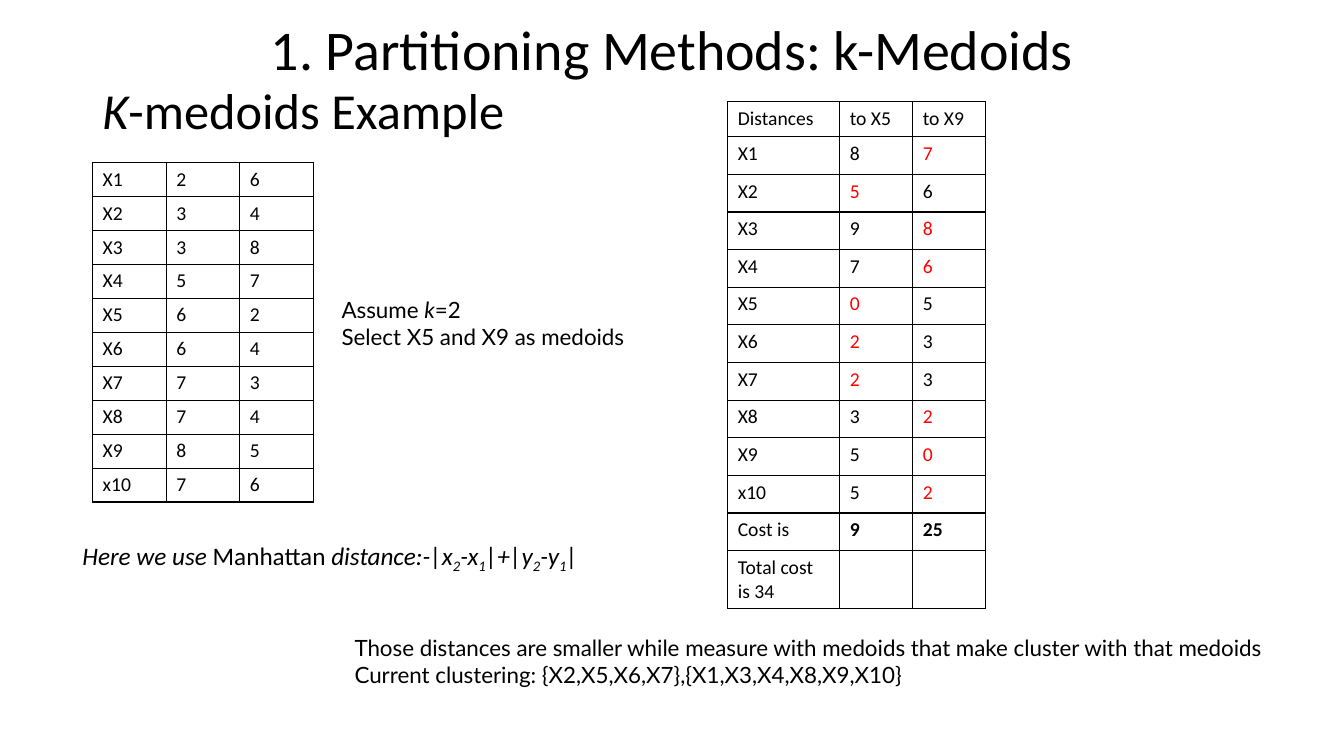
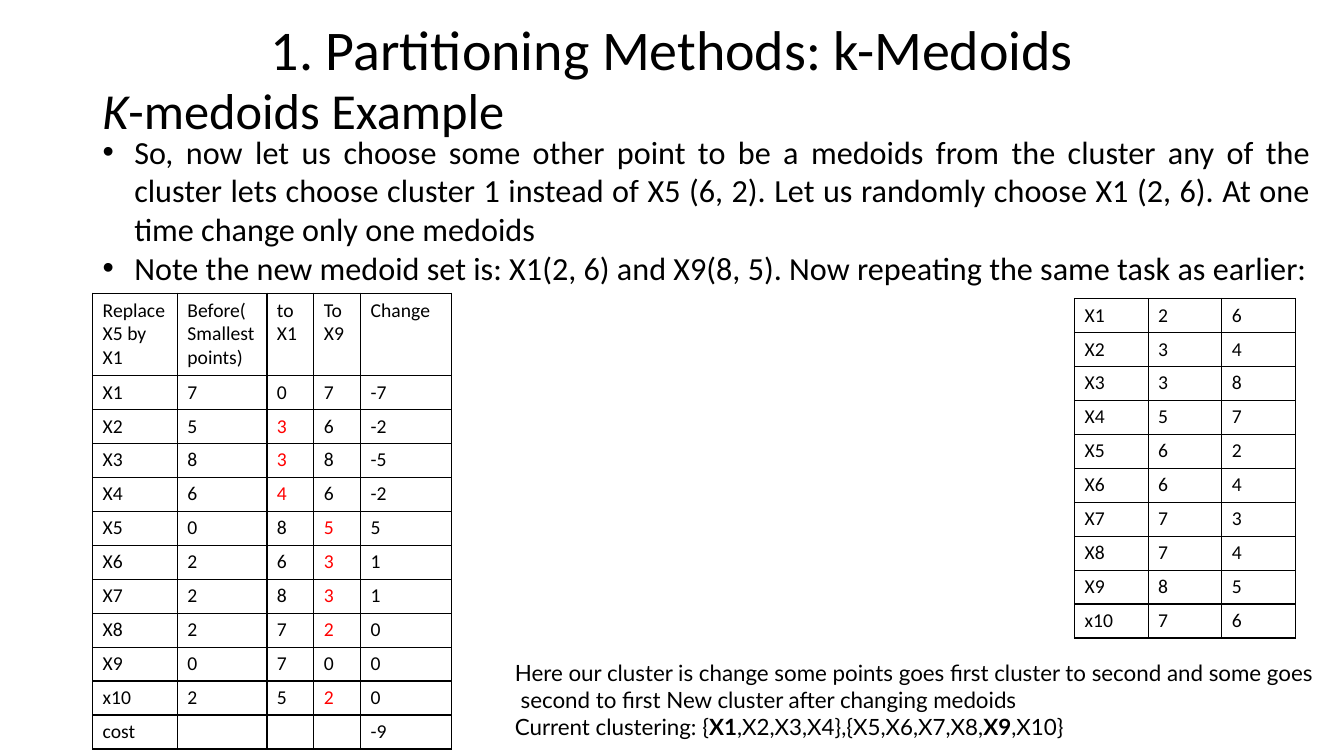
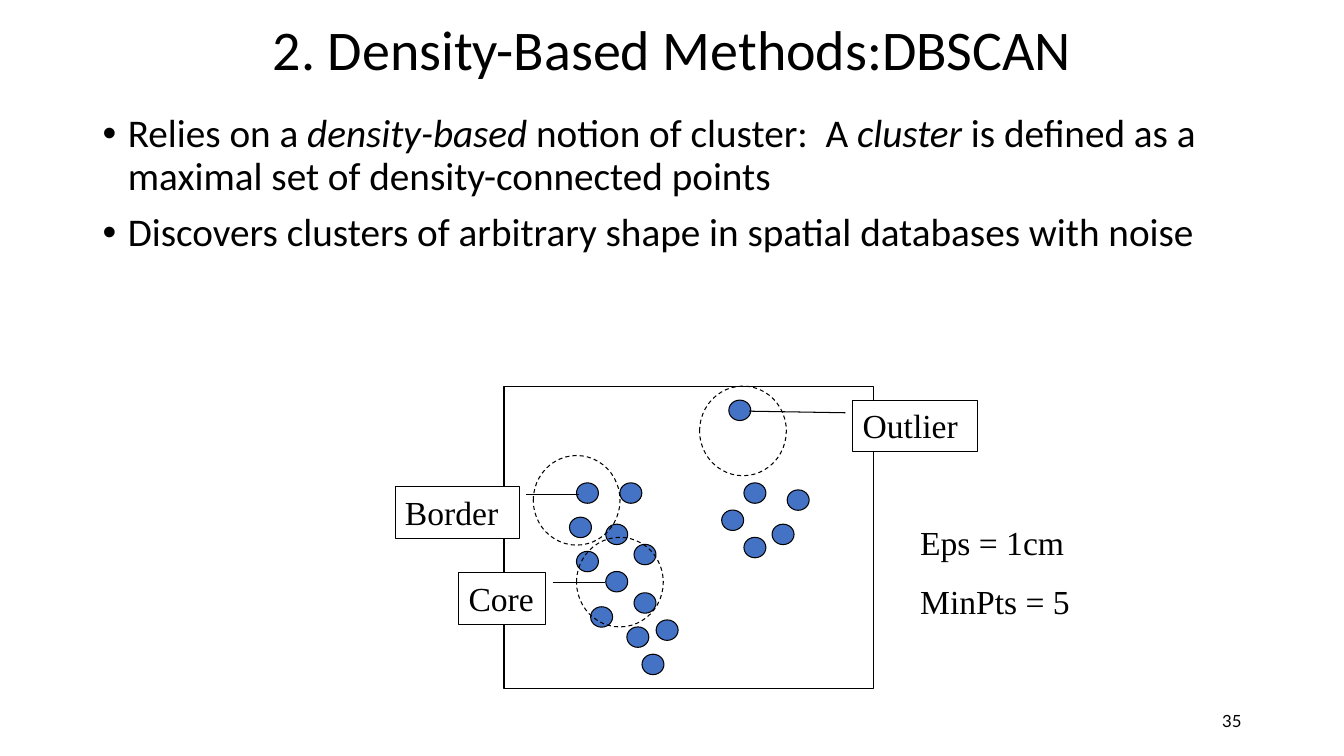
from pptx import Presentation
from pptx.dml.color import RGBColor
from pptx.enum import dml, shapes, text
from pptx.oxml.ns import qn
from pptx.util import Pt
from lxml import etree

# Shared look
HUES = {"ink": "000000", "red": "FF0000", "dot": "4472C4", "paper": "FFFFFF"}
MAIN, SANS, SERIF = "Calibri", "Lato", "Times New Roman"
MID, TOP = text.MSO_ANCHOR.MIDDLE, text.MSO_ANCHOR.TOP
LEFT, MIDDLE = text.PP_ALIGN.LEFT, text.PP_ALIGN.CENTER
RIGHT, FULL = text.PP_ALIGN.RIGHT, text.PP_ALIGN.JUSTIFY
MARKS = {"i": {"italic": True}, "b": {"bold": True}}
HEAD = (66, 9.4, 828, 56)
SUB = (66, 28.8, 828, 104.4)

# Content: a paragraph is a string or a list of (text, marks);
# marks are i = italic, b = bold, s = subscript; "!" makes a cell red
MEDOIDS = "1. Partitioning Methods: k-Medoids"
DENSITY = "2. Density-Based Methods:DBSCAN"
EXAMPLE = [[("K", "i"), ("-medoids Example", "")]]

POINTS = ["X1|2|6", "X2|3|4", "X3|3|8", "X4|5|7", "X5|6|2",
          "X6|6|4", "X7|7|3", "X8|7|4", "X9|8|5", "x10|7|6"]
COSTS = ["Distances|to X5|to X9", "X1|8|!7", "X2|!5|6", "X3|9|!8",
         "X4|7|!6", "X5|!0|5", "X6|!2|3", "X7|!2|3", "X8|3|!2",
         "X9|5|!0", "x10|5|!2", "Cost is|*9|*25", "Total cost is 34||"]
SWAPS = ["Replace X5 by X1|Before( Smallest points)|to X1|To X9|Change",
         "X1|7|0|7|-7", "X2|5|!3|6|-2", "X3|8|!3|8|-5", "X4|6|!4|6|-2",
         "X5|0|8|!5|5", "X6|2|6|!3|1", "X7|2|8|!3|1", "X8|2|7|!2|0",
         "X9|0|7|0|0", "x10|2|5|!2|0", "cost||||-9"]

ASSUME = [[("Assume ", ""), ("k", "i"), ("=2", "")],
          "Select X5 and X9 as medoids"]
FIRST = ["Those distances are smaller while measure with medoids "
         "that make cluster with that medoids",
         "Current clustering: {X2,X5,X6,X7},{X1,X3,X4,X8,X9,X10}"]
METRIC = [[("Here we use ", "i"), ("Manhattan", ""), (" distance:-|x", "i"),
           ("2", "is"), ("-x", "i"), ("1", "is"), ("|+|y", "i"),
           ("2", "is"), ("-y", "i"), ("1", "is"), ("|", "i")]]
CHOICE = ["So, now let us choose some other point to be a medoids from the "
          "cluster any of the cluster lets choose cluster 1 instead of "
          "X5 (6, 2). Let us randomly choose X1 (2, 6). At one time change "
          "only one medoids",
          "Note the new medoid set is: X1(2, 6) and X9(8, 5). "
          "Now repeating the same task as earlier:"]
SECOND = ["Here our cluster is change some points goes first cluster to "
          "second and some goes",
          " second to first New cluster after changing medoids",
          [("Current clustering: {", ""), ("X1", "b"),
           (",X2,X3,X4},{X5,X6,X7,X8,", ""), ("X9", "b"), (",X10}", "")]]
NOTION = [[("Relies on a ", ""), ("density-based", "i"),
           (" notion of cluster:  A ", ""), ("cluster", "i"),
           (" is defined as a maximal set of density-connected points", "")],
          "Discovers clusters of arbitrary shape in spatial databases "
          "with noise"]

# Scatter diagram
DOT, RING = (15.7, 14.6), (62, 64)
FRAME = (360, 275.8, 264, 216)
DOTS = [(411.8, 344.9), (406.8, 369.4), (432.7, 374.4), (442.8, 344.9),
        (452.9, 388.8), (411.8, 393.8), (432.7, 408.2), (421.9, 433.4),
        (447.8, 447.8), (458.6, 467.3), (452.9, 423.4), (468.7, 442.8),
        (520.6, 285.8), (531.4, 344.9), (515.5, 364.3), (551.5, 374.4),
        (562.3, 349.9), (531.4, 383.8)]
RINGS = [(380.9, 325.4), (411.8, 383.8), (499.7, 275.8)]
CALLS = [("Core", (327.6, 409, 62, 37), (0.188, 1.083, 0.188, 1.688)),
         ("Border", (282.2, 347.8, 88.6, 37), (0.145, 1.059, 0.145, 1.485)),
         ("Outlier", (609.1, 285.8, 89.3, 37),
          (0.245, -0.058, 0.214, -0.828))]


def hue(name):
    return RGBColor.from_string(HUES[name])


def apply(obj, vals):
    for key, val in vals.items():
        setattr(obj, key, val)


def place(shape, box):
    sides = ("left", "top", "width", "height")
    apply(shape, dict(zip(sides, map(Pt, box))))


def write(frame, paras, size, face=MAIN, align=LEFT, line=1.0, gap=0,
          anchor=TOP, wrap=True, hang=0):
    """Fill a text frame with formatted paragraphs."""
    apply(frame, {"auto_size": text.MSO_AUTO_SIZE.NONE,
                  "word_wrap": wrap, "vertical_anchor": anchor})
    for n, parts in enumerate(paras):
        para = frame.add_paragraph() if n else frame.paragraphs[0]
        if hang:
            apply_hang(para, hang)
        apply(para, {"alignment": align, "line_spacing": line,
                     "space_before": Pt(gap if n else 0)})
        for words, marks in [(parts, "")] if isinstance(parts, str) else parts:
            run = para.add_run()
            run.text = words
            apply(run.font, {"name": face, "size": Pt(size)})
            run.font.color.rgb = hue("ink")
            for mark in marks:
                apply(run.font, MARKS.get(mark, {}))
            if "s" in marks:
                run.font._element.set("baseline", "-25000")


def apply_hang(para, hang):
    props = para._p.get_or_add_pPr()
    props.set("marL", str(Pt(hang)))
    props.set("indent", str(-Pt(hang)))
    etree.SubElement(props, qn("a:buChar")).set("char", "•")


def label(slide, box, paras, size, **look):
    shape = slide.shapes.add_textbox(*map(Pt, box))
    write(shape.text_frame, paras, size, **look)


def start(deck, layout, title):
    """Add a slide with the shared heading."""
    slide = deck.slides.add_slide(deck.slide_layouts[layout])
    place(slide.shapes.title, HEAD)
    write(slide.shapes.title.text_frame, [title], 40,
          align=MIDDLE, line=0.9, anchor=MID)
    return slide


def bullets(slide, box, paras, size, **look):
    body = slide.placeholders[1]
    place(body, box)
    write(body.text_frame, paras, size, **look)


def edge(cell):
    props = cell._tc.get_or_add_tcPr()
    for side in "LRTB":
        line = etree.SubElement(props, qn("a:ln" + side), w=str(Pt(1)))
        fill = etree.SubElement(line, qn("a:solidFill"))
        etree.SubElement(fill, qn("a:srgbClr"), val=HUES["ink"])


def grid(slide, spot, cols, rows, tall, head=None):
    """Add a ruled table; head is the height of the first row."""
    highs = [head or tall] + [tall] * (len(rows) - 1)
    box = (*spot, sum(cols), sum(highs))
    table = slide.shapes.add_table(len(rows), len(cols), *map(Pt, box)).table
    apply(table, {"first_row": False, "horz_banding": False})
    for col, wide in zip(table.columns, cols):
        col.width = Pt(wide)
    for row, high, line in zip(table.rows, highs, rows):
        row.height = Pt(high)
        for cell, word in zip(row.cells, line.split("|")):
            edge(cell)
            cell.fill.background()
            para = cell.text_frame.paragraphs[0]
            para.font.size = Pt(14)
            if not word:
                continue
            run = para.add_run()
            run.text = word.lstrip("!*")
            apply(run.font, {"name": MAIN, "size": Pt(14),
                             "bold": word[0] == "*"})
            run.font.color.rgb = hue("red" if word[0] == "!" else "ink")


def draw(slide, kind, box, fill=None, dash=None):
    shape = slide.shapes.add_shape(kind, *map(Pt, box))
    shape.shadow.inherit = False
    if fill:
        shape.fill.solid()
        shape.fill.fore_color.rgb = hue(fill)
    else:
        shape.fill.background()
    shape.line.color.rgb = hue("ink")
    apply(shape.line, {"width": Pt(0.75), "dash_style": dash})
    return shape


def main():
    deck = Presentation()
    apply(deck, {"slide_width": Pt(960), "slide_height": Pt(540)})
    forms = shapes.MSO_SHAPE
    sub = {"line": 0.9, "anchor": MID}
    note = {"face": SANS, "wrap": False}

    # First choice of medoids
    slide = start(deck, 5, MEDOIDS)
    label(slide, SUB, EXAMPLE, 36, **sub)
    grid(slide, (66.2, 116), [52.6] * 3, POINTS, 24)
    grid(slide, (519.8, 72.7), [80, 52.2, 52.2], COSTS, 26.9, 25)
    label(slide, (236.9, 208, 218, 46), ASSUME, 16, **note)
    label(slide, (246.2, 449.3, 682, 46), FIRST, 16, **note)
    label(slide, (51.8, 382.3, 437, 29), METRIC, 18)

    # Swap of one medoid
    slide = start(deck, 1, MEDOIDS)
    label(slide, SUB, EXAMPLE, 36, **sub)
    bullets(slide, (66.2, 90.7, 878.4, 118.8), CHOICE, 23,
            align=FULL, hang=22.5)
    grid(slide, (66.2, 209.5), [60.5, 64, 33.5, 33.5, 65], SWAPS, 24.2, 58.6)
    grid(slide, (767.5, 213.1), [52.6] * 3, POINTS, 24)
    label(slide, (360.7, 467.3, 602, 65.5), SECOND, 16, **note)

    # Density-based clusters
    slide = start(deck, 1, DENSITY)
    bullets(slide, (66.2, 77.8, 812, 438), NOTION, 28,
            line=0.9, gap=10, hang=18)
    for spot in DOTS:
        draw(slide, forms.OVAL, spot + DOT, "dot")
    draw(slide, forms.RECTANGLE, FRAME)
    for spot in RINGS:
        draw(slide, forms.OVAL, spot + RING, dash=dml.MSO_LINE.DASH)
    for word, box, bends in CALLS:
        call = draw(slide, forms.LINE_CALLOUT_1, box, "paper")
        for n, bend in enumerate(bends):
            call.adjustments[n] = bend
        write(call.text_frame, [word], 24, face=SERIF, wrap=False)
    label(slide, (650.2, 369.4, 129.6, 80), ["Eps = 1cm", "MinPts = 5"], 24,
          face=SERIF, gap=13)
    label(slide, (678, 500.4, 216, 28.8), ["35"], 12,
          face=SANS, align=RIGHT, anchor=MID)

    deck.save("out.pptx")


if __name__ == "__main__":
    main()
